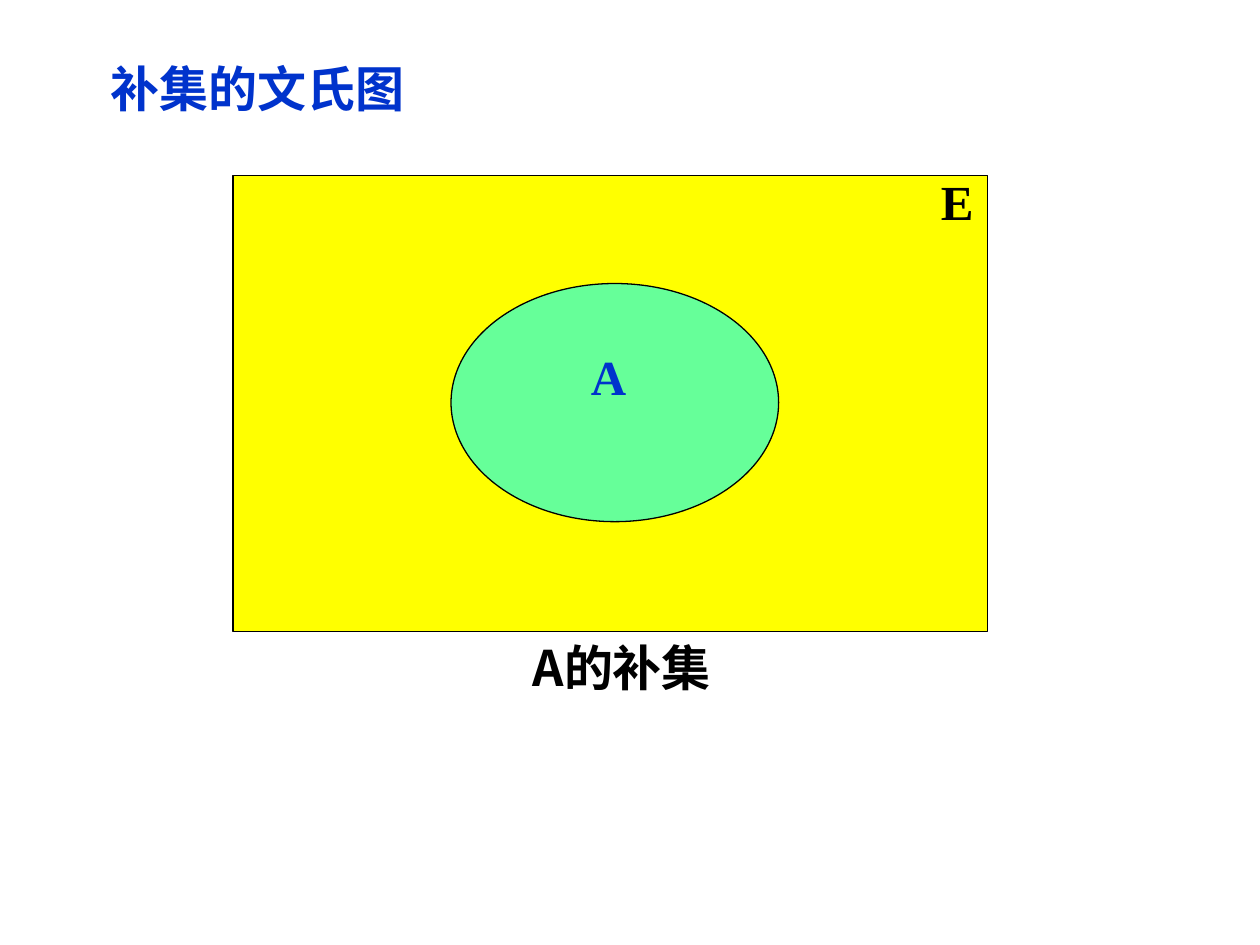
import pptx
import pptx.util
import pptx.dml.color
import pptx.enum.shapes
import pptx.enum.text
import pptx.oxml
from dataclasses import dataclass

SHAPE = pptx.enum.shapes.MSO_SHAPE
ALIGN = pptx.enum.text.PP_ALIGN
ANCHOR = pptx.enum.text.MSO_ANCHOR
FIT = pptx.enum.text.MSO_AUTO_SIZE


@dataclass(frozen=True)
class Theme:
    blue: str = "0033CC"
    black: str = "000000"
    yellow: str = "FFFF00"
    green: str = "66FF99"
    han: str = "Noto Sans CJK SC"
    latin: str = "Times New Roman"
    size: int = 28
    line: float = 0.75


class Board:
    """Style and current slide; boxes are (left, top, width, height) in grid cells."""

    def __init__(self, deck, theme, cols=100, rows=75):
        self.theme = theme
        self.cell_w = deck.slide_width / cols
        self.cell_h = deck.slide_height / rows
        self.slide = deck.slides.add_slide(deck.slide_layouts[5])

    def place(self, box):
        left, top, width, height = box
        return (round(left * self.cell_w), round(top * self.cell_h),
                round(width * self.cell_w), round(height * self.cell_h))

    def style(self, frame, text, font, color):
        frame.text = text
        para = frame.paragraphs[0]
        para.alignment = ALIGN.LEFT
        run = para.runs[0]
        run.font.size = pptx.util.Pt(self.theme.size)
        run.font.bold = True
        run.font.name = font
        run.font.color.rgb = pptx.dml.color.RGBColor.from_string(color)
        props = run._r.get_or_add_rPr()
        east = props.makeelement(pptx.oxml.ns.qn("a:ea"), {"typeface": font})
        props.find(pptx.oxml.ns.qn("a:latin")).addnext(east)

    def title(self, text, box):
        head = self.slide.shapes.title
        head.left, head.top, head.width, head.height = self.place(box)
        frame = head.text_frame
        self.style(frame, text, self.theme.han, self.theme.blue)
        frame.auto_size = FIT.NONE
        frame.vertical_anchor = ANCHOR.MIDDLE
        frame.paragraphs[0].line_spacing = 0.9

    def label(self, text, box, font, color, wrap=False):
        frame = self.slide.shapes.add_textbox(*self.place(box)).text_frame
        frame.word_wrap = wrap
        frame.auto_size = FIT.SHAPE_TO_FIT_TEXT
        self.style(frame, text, font, color)

    def region(self, kind, box, color):
        shape = self.slide.shapes.add_shape(kind, *self.place(box))
        shape.shadow.inherit = False
        shape.fill.solid()
        shape.fill.fore_color.rgb = pptx.dml.color.RGBColor.from_string(color)
        shape.line.color.rgb = pptx.dml.color.RGBColor.from_string(self.theme.black)
        shape.line.width = pptx.util.Pt(self.theme.line)


def main():
    deck = pptx.Presentation()
    deck.slide_width = pptx.util.Inches(10)
    deck.slide_height = pptx.util.Inches(7.5)
    theme = Theme()
    board = Board(deck, theme)

    board.title("补集的文氏图", (7.8, 2.9, 35.9, 8.7))
    board.label("A的补集", (41.3, 50.1, 16.7, 5.7), theme.han, theme.black, wrap=True)
    board.region(SHAPE.RECTANGLE, (18.5, 13.9, 59.9, 36.2), theme.yellow)
    board.label("E", (73.7, 13.1, 4.6, 5.7), theme.latin, theme.black)
    board.region(SHAPE.OVAL, (35.8, 22.5, 26, 18.9), theme.green)
    board.label("A", (45.9, 27, 4.9, 5.7), theme.latin, theme.blue)

    deck.save("out.pptx")


if __name__ == "__main__":
    main()
